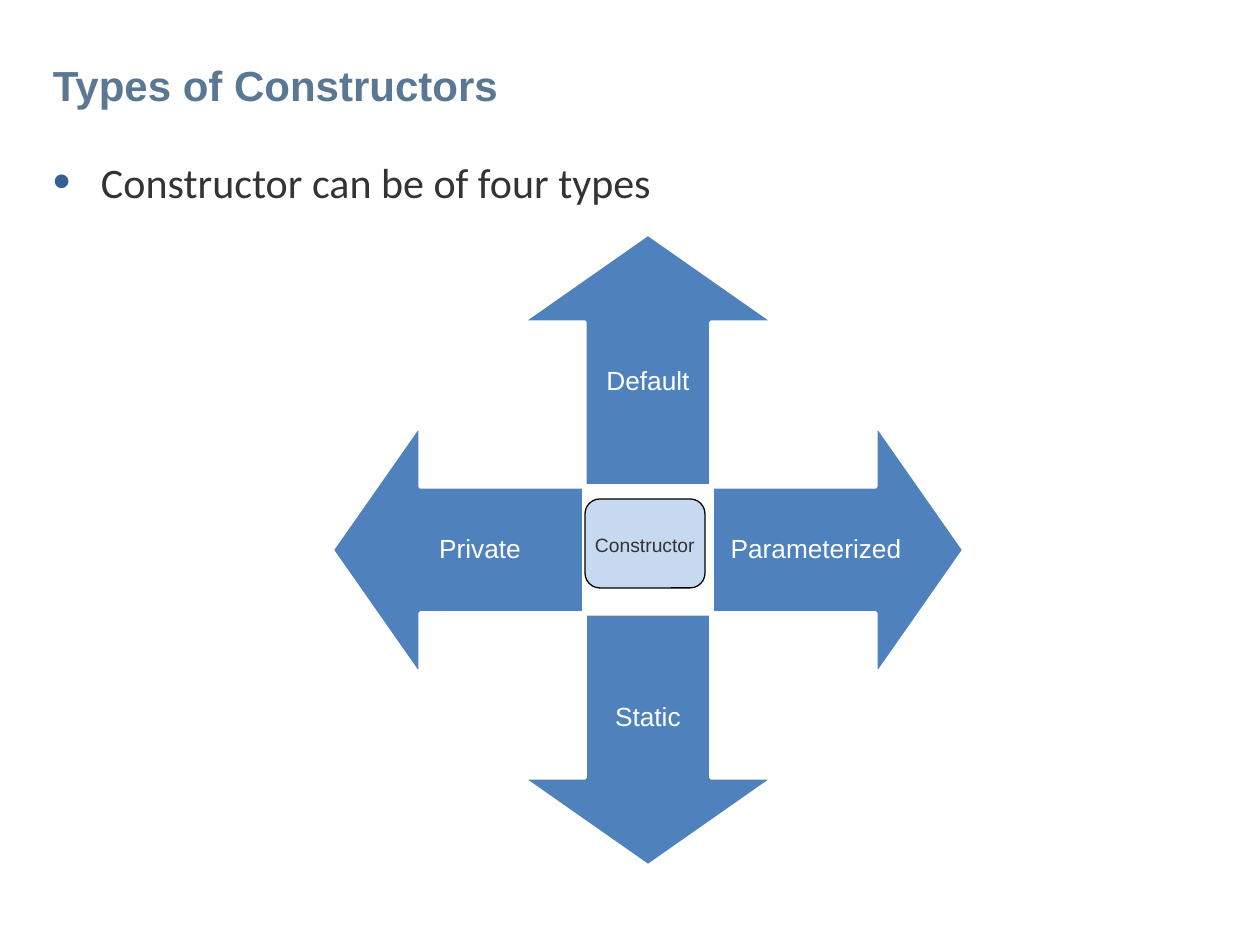
from dataclasses import dataclass

from lxml import etree
from pptx import Presentation
from pptx import util as u
from pptx.dml.color import RGBColor
from pptx.enum import shapes, text
from pptx.oxml import ns

PX = u.Inches(1) / 126


@dataclass(frozen=True)
class Theme:
    title: str = "5B7893"
    ink: str = "333333"
    bullet: str = "376092"
    arrow: str = "4F81BD"
    hub: str = "C6D9F1"
    white: str = "FFFFFF"
    black: str = "000000"
    sans: str = "Arial"
    body: str = "Calibri"
    heading_size: int = 24
    label_size: int = 15
    hub_size: int = 11


def emu(px):
    return u.Emu(round(px * PX))


class SlideBuilder:
    def __init__(self, page, theme):
        self.page = page
        self.theme = theme

    def set_text(self, box, words, size, color, font, bold=False,
                 align=text.PP_ALIGN.LEFT, anchor=text.MSO_ANCHOR.TOP, margins=(0, 0, 0, 0)):
        frame = box.text_frame
        frame.text = words
        frame.word_wrap = True
        frame.auto_size = text.MSO_AUTO_SIZE.NONE
        frame.vertical_anchor = anchor
        (frame.margin_left, frame.margin_top,
         frame.margin_right, frame.margin_bottom) = map(emu, margins)
        para = frame.paragraphs[0]
        para.alignment = align
        span = para.runs[0]
        span.font.size = u.Pt(size)
        span.font.name = font
        span.font.bold = bold
        span.font.color.rgb = RGBColor.from_string(color)
        return para

    def place(self, box, left, top, width, height):
        box.left, box.top, box.width, box.height = map(emu, (left, top, width, height))

    def title(self, words, *bounds):
        box = self.page.shapes.title
        self.place(box, *bounds)
        self.set_text(box, words, self.theme.heading_size, self.theme.title, self.theme.sans,
                      bold=True, anchor=text.MSO_ANCHOR.BOTTOM, margins=(0, 0, 0, 6))

    def bullet(self, words, *bounds):
        box = self.page.placeholders[1]
        self.place(box, *bounds)
        para = self.set_text(box, words, self.theme.heading_size, self.theme.ink,
                             self.theme.body)
        para.space_before, para.space_after = u.Pt(2), u.Pt(5)
        props = para._p.get_or_add_pPr()
        props.set("marL", str(emu(48)))
        props.set("indent", str(emu(-48)))
        color = etree.SubElement(props, ns.qn("a:buClr"))
        etree.SubElement(color, ns.qn("a:srgbClr"), val=self.theme.bullet)
        etree.SubElement(props, ns.qn("a:buSzPct"), val="120000")
        etree.SubElement(props, ns.qn("a:buChar"), char="•")

    def shape(self, kind, bounds, fill, line, weight):
        box = self.page.shapes.add_shape(kind, *map(emu, bounds))
        box.shadow.inherit = False
        box.fill.solid()
        box.fill.fore_color.rgb = RGBColor.from_string(fill)
        box.line.color.rgb = RGBColor.from_string(line)
        box.line.width = u.Pt(weight)
        return box

    def arrow(self, center_x, center_y, side, rotation):
        bounds = (center_x - side / 2, center_y - side / 2, side, side)
        box = self.shape(shapes.MSO_SHAPE.UP_ARROW, bounds,
                         self.theme.arrow, self.theme.white, 2)
        box.adjustments[0], box.adjustments[1] = 0.5, 0.35
        box.rotation = rotation

    def label(self, words, center_x, center_y, width, height):
        bounds = (center_x - width / 2, center_y - height / 2, width, height)
        box = self.page.shapes.add_textbox(*map(emu, bounds))
        para = self.set_text(box, words, self.theme.label_size, self.theme.white,
                             self.theme.sans, align=text.PP_ALIGN.CENTER,
                             anchor=text.MSO_ANCHOR.MIDDLE, margins=(15, 15, 15, 15))
        para.line_spacing = 0.9

    def hub(self, words, bounds, text_bounds):
        self.shape(shapes.MSO_SHAPE.ROUNDED_RECTANGLE, bounds,
                   self.theme.hub, self.theme.black, 0.75)
        box = self.page.shapes.add_textbox(*map(emu, text_bounds))
        self.set_text(box, words, self.theme.hub_size, self.theme.ink, self.theme.sans,
                      margins=(13, 6, 13, 6))


def main():
    deck = Presentation()
    deck.slide_width, deck.slide_height = u.Inches(10), u.Inches(7.5)
    page = deck.slides.add_slide(deck.slide_layouts[1])
    builder = SlideBuilder(page, Theme())

    builder.title("Types of Constructors", 53, 44, 1152, 72)
    builder.bullet("Constructor can be of four types", 53, 156, 1152, 692)

    center_x, center_y = 648, 550
    arrow_side, arrow_reach, label_reach = 252, 190, 168
    label_long, label_short = 208, 126
    directions = [("Default", 0, -1), ("Parameterized", 1, 0), ("Static", 0, 1), ("Private", -1, 0)]
    for turn, (name, dx, dy) in enumerate(directions):
        builder.arrow(center_x + dx * arrow_reach, center_y + dy * arrow_reach,
                      arrow_side, turn * 90)
        width, height = (label_long, label_short) if dx else (label_short, label_long)
        builder.label(name, center_x + dx * label_reach, center_y + dy * label_reach,
                      width, height)

    builder.hub("Constructor", (585, 499, 120, 89), (582, 527, 134, 36))
    deck.save("out.pptx")


if __name__ == "__main__":
    main()
